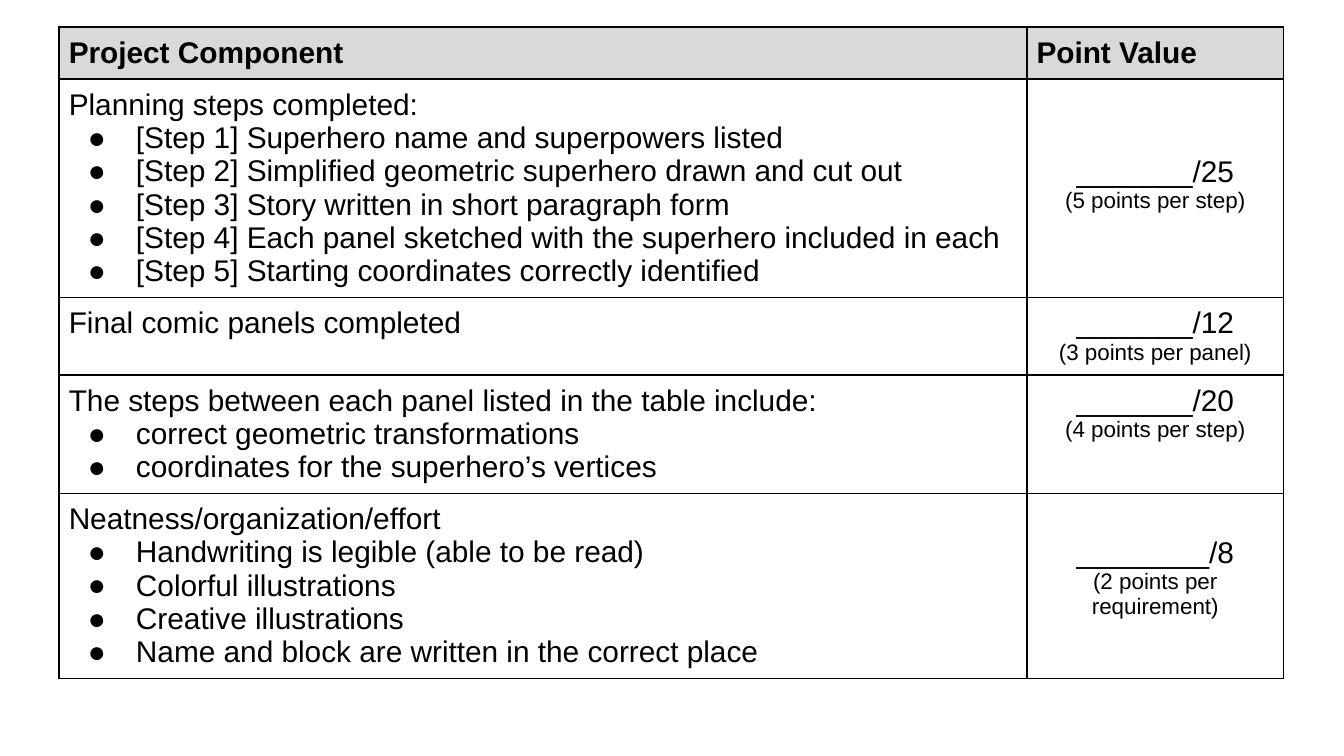
from lxml.etree import SubElement
from pptx import Presentation
from pptx.dml.color import RGBColor as Rgb
from pptx.enum.text import PP_ALIGN as Align
from pptx.oxml.ns import qn
from pptx.util import Cm, Pt

COLORS = {"text": "000000", "border": "000000", "header": "D9D9D9"}
COLUMN_WIDTHS = [18.29, 4.85]
HEADINGS = ["Project Component", "Point Value"]
HEADER_HEIGHT = 0.97

# Height, component, requirements, score, scoring note, lines the score is lowered by
COMPONENTS = [
    (4.12, "Planning steps completed:",
     ["[Step 1] Superhero name and superpowers listed",
      "[Step 2] Simplified geometric superhero drawn and cut out",
      "[Step 3] Story written in short paragraph form",
      "[Step 4] Each panel sketched with the superhero included in each",
      "[Step 5] Starting coordinates correctly identified"],
     "_______/25", "(5 points per step)", 2),
    (1.45, "Final comic panels completed", [],
     "_______/12", "(3 points per panel)", 0),
    (2.23, "The steps between each panel listed in the table include:",
     ["correct geometric transformations",
      "coordinates for the superhero’s vertices"],
     "_______/20", "(4 points per step)", 0),
    (3.5, "Neatness/organization/effort",
     ["Handwriting is legible (able to be read)",
      "Colorful illustrations",
      "Creative illustrations",
      "Name and block are written in the correct place"],
     "________/8", "(2 points per requirement)", 1),
]


class RubricPage:
    font = "Arial"
    size = 16
    note_size = 12
    margin = 0.18
    line_height = 0.63

    def __init__(self, deck):
        self.page = deck.slides.add_slide(deck.slide_layouts[6])

    def table(self, left, top, widths, heights):
        frame = self.page.shapes.add_table(
            len(heights), len(widths), Cm(left), Cm(top),
            Cm(sum(widths)), Cm(sum(heights)))
        grid = frame.table
        for column, width in zip(grid.columns, widths):
            column.width = Cm(width)
        for row, height in zip(grid.rows, heights):
            row.height = Cm(height)
        for cell in grid.iter_cells():
            self.border(cell)
            cell.fill.background()
            cell.margin_left = cell.margin_right = Cm(self.margin)
            cell.margin_top = cell.margin_bottom = Cm(self.margin)
        return grid

    def border(self, cell):
        properties = cell._tc.get_or_add_tcPr()
        for side in ("a:lnL", "a:lnR", "a:lnT", "a:lnB"):
            line = SubElement(properties, qn(side), w=str(Pt(1)))
            fill = SubElement(line, qn("a:solidFill"))
            SubElement(fill, qn("a:srgbClr"), val=COLORS["border"])

    def bullet(self, para):
        properties = para._p.get_or_add_pPr()
        properties.set("marL", str(Cm(1.27)))
        properties.set("indent", str(Cm(-0.91)))
        SubElement(properties, qn("a:buFont"), typeface=self.font)
        SubElement(properties, qn("a:buChar"), char="●")

    def style(self, para, size, bold=False):
        for span in para.runs:
            span.font.name = self.font
            span.font.size = Pt(size)
            span.font.bold = bold
            span.font.color.rgb = Rgb.from_string(COLORS["text"])

    def heading(self, cell, text):
        cell.fill.solid()
        cell.fill.fore_color.rgb = Rgb.from_string(COLORS["header"])
        cell.text_frame.text = text
        self.style(cell.text_frame.paragraphs[0], self.size, bold=True)

    def component(self, cell, title, requirements):
        cell.text_frame.text = "\n".join([title, *requirements])
        for index, para in enumerate(cell.text_frame.paragraphs):
            if index:
                self.bullet(para)
            self.style(para, self.size)

    def score(self, cell, points, note, lowered):
        cell.margin_top = Cm(self.margin + lowered * self.line_height)
        cell.text_frame.text = f"{points}\n{note}"
        sizes = (self.size, self.note_size)
        for para, size in zip(cell.text_frame.paragraphs, sizes):
            para.alignment = Align.CENTER
            self.style(para, size)


def main():
    deck = Presentation()
    deck.slide_width, deck.slide_height = Cm(25.4), Cm(14.29)
    rubric = RubricPage(deck)
    heights = [HEADER_HEIGHT] + [entry[0] for entry in COMPONENTS]
    grid = rubric.table(1.12, 0.51, COLUMN_WIDTHS, heights)
    for column, text in enumerate(HEADINGS):
        rubric.heading(grid.cell(0, column), text)
    for row, entry in enumerate(COMPONENTS, start=1):
        _, title, requirements, points, note, lowered = entry
        rubric.component(grid.cell(row, 0), title, requirements)
        rubric.score(grid.cell(row, 1), points, note, lowered)
    deck.save("out.pptx")


if __name__ == "__main__":
    main()
